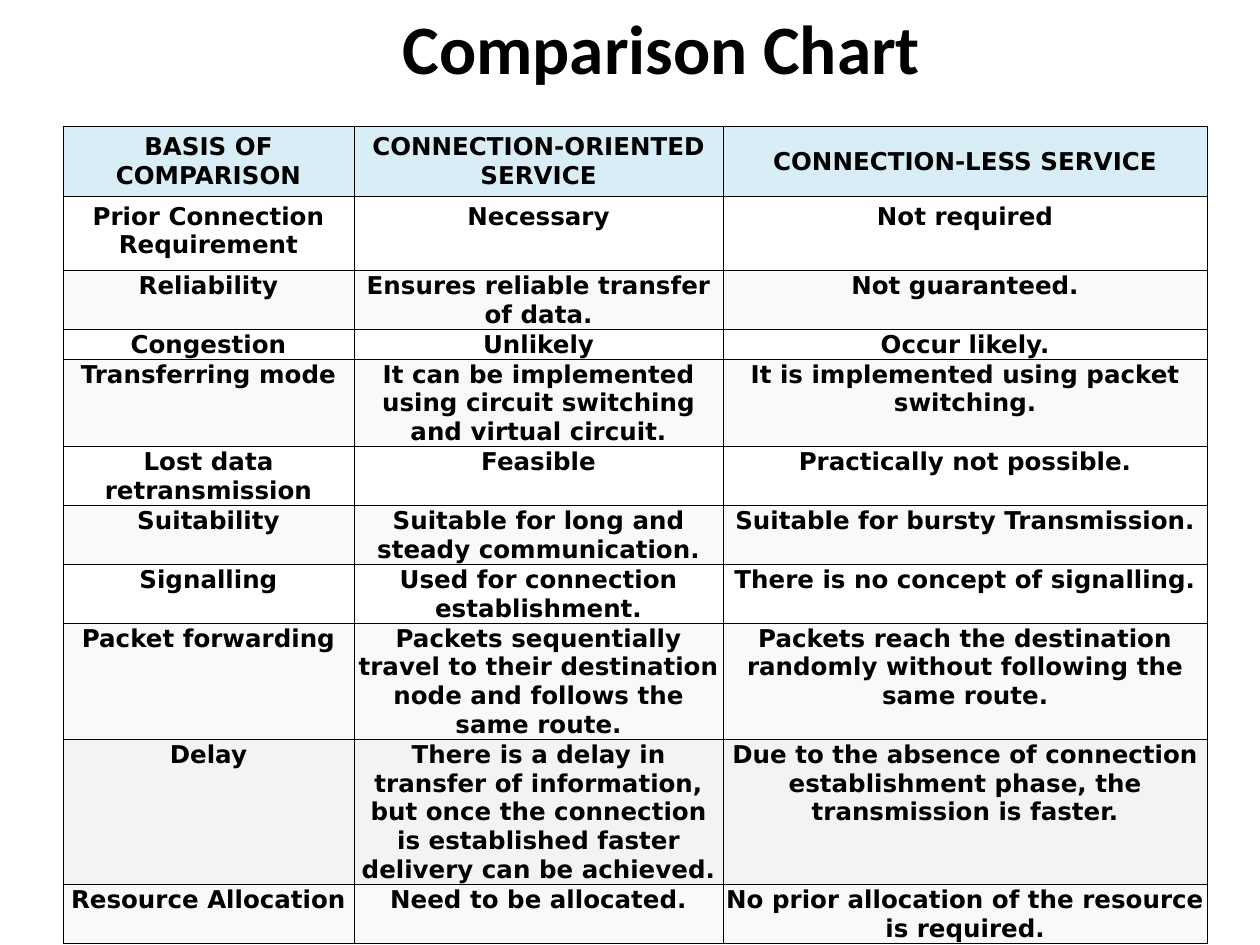
from lxml import etree
from pptx import Presentation
from pptx.dml.color import RGBColor
from pptx.enum.text import MSO_ANCHOR, MSO_AUTO_SIZE, PP_ALIGN
from pptx.oxml.ns import qn
from pptx.util import Pt

CENTER = PP_ALIGN.CENTER
TOP, MIDDLE = MSO_ANCHOR.TOP, MSO_ANCHOR.MIDDLE
NO_AUTOFIT = MSO_AUTO_SIZE.NONE
BLACK, HEADER, WHITE, LIGHT, GREY = "000000", "D9EDF7", "FFFFFF", "F9F9F9", "F3F3F3"


def rgb(color):
    return RGBColor.from_string(color)


def set_borders(cell, color, width):
    tcPr = cell._tc.get_or_add_tcPr()
    for i, side in enumerate(("lnL", "lnR", "lnT", "lnB")):
        ln = etree.Element(qn("a:" + side), w=str(Pt(width)))
        fill = etree.SubElement(ln, qn("a:solidFill"))
        etree.SubElement(fill, qn("a:srgbClr"), val=color)
        tcPr.insert(i, ln)


prs = Presentation()
prs.slide_width, prs.slide_height = Pt(720), Pt(540)
s = prs.slides.add_slide(prs.slide_layouts[5])

# Title
title = s.shapes.title
title.left, title.top, title.width, title.height = Pt(72), Pt(0), Pt(612), Pt(54)
tf = title.text_frame
tf.text = "Comparison Chart"
tf.auto_size = NO_AUTOFIT
tf.vertical_anchor = MIDDLE
p = tf.paragraphs[0]
p.alignment = CENTER
p.font.name, p.font.size, p.font.bold = "Calibri", Pt(39.6), True
p.font.color.rgb = rgb(BLACK)

# Table content: row height, fill, cell texts
rows = [
    (40, HEADER, ("BASIS OF COMPARISON", "CONNECTION-ORIENTED SERVICE",
                  "CONNECTION-LESS SERVICE")),
    (42.5, WHITE, ("Prior Connection Requirement", "Necessary", "Not required")),
    (33.4, LIGHT, ("Reliability", "Ensures reliable transfer of data.",
                   "Not guaranteed.")),
    (17, WHITE, ("Congestion", "Unlikely", "Occur likely.")),
    (49.8, LIGHT, ("Transferring mode",
                   "It can be implemented using circuit switching and virtual circuit.",
                   "It is implemented using packet switching.")),
    (33.4, WHITE, ("Lost data retransmission", "Feasible",
                   "Practically not possible.")),
    (33.4, LIGHT, ("Suitability", "Suitable for long and steady communication.",
                   "Suitable for bursty Transmission.")),
    (33.4, WHITE, ("Signalling", "Used for connection establishment.",
                   "There is no concept of signalling.")),
    (66.3, LIGHT, ("Packet forwarding",
                   "Packets sequentially travel to their destination node "
                   "and follows the same route.",
                   "Packets reach the destination randomly without following "
                   "the same route.")),
    (82.8, GREY, ("Delay",
                  "There is a delay in transfer of information, but once the "
                  "connection is established faster delivery can be achieved.",
                  "Due to the absence of connection establishment phase, "
                  "the transmission is faster.")),
    (33.4, LIGHT, ("Resource Allocation", "Need to be allocated.",
                   "No prior allocation of the resource is required.")),
]
widths = [166.3, 211, 276.5]

# Table
frame = s.shapes.add_table(len(rows), len(widths), Pt(36), Pt(72),
                           Pt(sum(widths)), Pt(sum(row[0] for row in rows)))
table = frame.table
for column, width in zip(table.columns, widths):
    column.width = Pt(width)

for i, (height, fill, texts) in enumerate(rows):
    table.rows[i].height = Pt(height)
    for cell, text in zip(table.rows[i].cells, texts):
        cell.text = text
        cell.fill.solid()
        cell.fill.fore_color.rgb = rgb(fill)
        cell.vertical_anchor = MIDDLE if i == 0 else TOP
        cell.margin_left = cell.margin_right = Pt(0.7)
        # The first body row has more space above and below
        cell.margin_top, cell.margin_bottom = (Pt(3.6), Pt(3.6)) if i == 1 else (Pt(0.7), Pt(0))
        set_borders(cell, BLACK, 0.5)
        p = cell.text_frame.paragraphs[0]
        p.alignment = CENTER
        p.font.name, p.font.size, p.font.bold = "DejaVu Sans", Pt(14), True
        p.font.color.rgb = rgb(BLACK)

prs.save("out.pptx")
